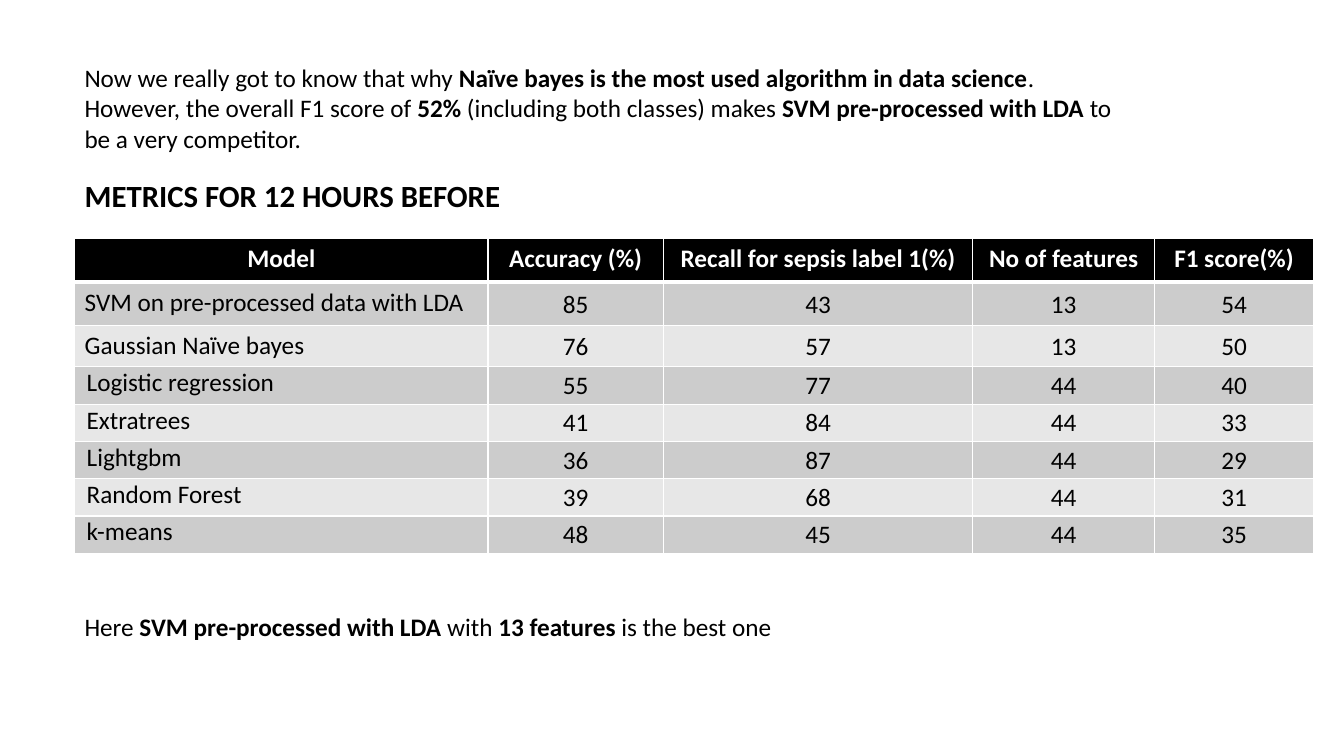
from dataclasses import dataclass

from lxml.etree import SubElement
from pptx import Presentation
from pptx.dml.color import RGBColor
from pptx.enum.text import MSO_ANCHOR, MSO_AUTO_SIZE, PP_ALIGN
from pptx.oxml.ns import qn
from pptx.slide import Slide
from pptx.table import _Cell
from pptx.text.text import TextFrame, _Run
from pptx.util import Inches, Pt


@dataclass(frozen=True)
class Theme:
    font: str = "Calibri"
    body_size: int = 18
    heading_size: int = 22
    ink: str = "000000"
    paper: str = "FFFFFF"
    bands: tuple[str, str] = ("CCCCCC", "E7E7E7")
    rule: float = 1
    header_rule: float = 3


@dataclass(frozen=True)
class Phrase:
    text: str
    bold: bool = False


@dataclass(frozen=True)
class Remark:
    top: float
    height: float
    phrases: tuple[Phrase, ...]


@dataclass(frozen=True)
class Column:
    heading: str
    width: float


@dataclass(frozen=True)
class Score:
    model: str
    accuracy: int
    recall: int
    features: int
    f1: int
    height: float = 0.37
    compact: bool = True

    def figures(self) -> tuple[int, ...]:
        return self.accuracy, self.recall, self.features, self.f1


THEME = Theme()
LEFT = 0.74
REMARK_WIDTH = 10.6
HEADER_HEIGHT = 0.43

REMARKS = (
    Remark(0.57, 1.01, (
        Phrase("Now we really got to know that why "),
        Phrase("Naïve bayes is the most used algorithm in data science", True),
        Phrase(". However, the overall F1 score of "),
        Phrase("52%", True),
        Phrase(" (including both classes) makes "),
        Phrase("SVM pre-processed with LDA ", True),
        Phrase("to be a very competitor."),
    )),
    Remark(6.02, 0.4, (
        Phrase("Here "),
        Phrase("SVM pre-processed with LDA ", True),
        Phrase("with"),
        Phrase(" 13 features ", True),
        Phrase("is the best one"),
    )),
)

COLUMNS = (
    Column("Model", 4.1),
    Column("Accuracy (%)", 1.74),
    Column("Recall for sepsis label 1(%)", 3.07),
    Column("No of features", 1.8),
    Column("F1 score(%)", 1.58),
)

SCORES = (
    Score("SVM on pre-processed data with LDA", 85, 43, 13, 54, 0.43, False),
    Score("Gaussian Naïve bayes", 76, 57, 13, 50, 0.41, False),
    Score("Logistic regression", 55, 77, 44, 40),
    Score("Extratrees", 41, 84, 44, 33),
    Score("Lightgbm", 36, 87, 44, 29),
    Score("Random Forest", 39, 68, 44, 31),
    Score("k-means", 48, 45, 44, 35),
)


def style_run(run: _Run, size: float, color: str, bold: bool) -> None:
    run.font.name = THEME.font
    run.font.size = Pt(size)
    run.font.bold = bold
    run.font.color.rgb = RGBColor.from_string(color)


def add_heading(slide: Slide, text: str) -> None:
    heading = slide.shapes.title
    heading.left, heading.top = Inches(LEFT), Inches(1.7)
    heading.width, heading.height = Inches(5.65), Inches(0.47)
    frame: TextFrame = heading.text_frame
    frame.text = text
    frame.auto_size = MSO_AUTO_SIZE.NONE
    frame.vertical_anchor = MSO_ANCHOR.TOP
    paragraph = frame.paragraphs[0]
    paragraph.alignment = PP_ALIGN.LEFT
    style_run(paragraph.runs[0], THEME.heading_size, THEME.ink, True)


def add_remark(slide: Slide, remark: Remark) -> None:
    box = slide.shapes.add_textbox(Inches(LEFT), Inches(remark.top),
                                   Inches(REMARK_WIDTH), Inches(remark.height))
    box.text_frame.word_wrap = True
    paragraph = box.text_frame.paragraphs[0]
    for phrase in remark.phrases:
        run = paragraph.add_run()
        run.text = phrase.text
        style_run(run, THEME.body_size, THEME.ink, phrase.bold)


def set_borders(cell: _Cell, top: float, bottom: float) -> None:
    properties = cell._tc.get_or_add_tcPr()
    edges = {"a:lnL": THEME.rule, "a:lnR": THEME.rule, "a:lnT": top, "a:lnB": bottom}
    for tag, width in edges.items():
        line = SubElement(properties, qn(tag), w=str(Pt(width)))
        fill = SubElement(line, qn("a:solidFill"))
        SubElement(fill, qn("a:srgbClr"), val=THEME.paper)


def fill_cell(cell: _Cell, text: str, fill: str, color: str, bold: bool,
              alignment: PP_ALIGN) -> None:
    cell.fill.solid()
    cell.fill.fore_color.rgb = RGBColor.from_string(fill)
    cell.text_frame.text = text
    paragraph = cell.text_frame.paragraphs[0]
    paragraph.alignment = alignment
    style_run(paragraph.runs[0], THEME.body_size, color, bold)


def tighten(cell: _Cell, left: float) -> None:
    cell.margin_left = Inches(left)
    cell.margin_right = cell.margin_top = Inches(0.01)
    cell.margin_bottom = 0


def add_metrics(slide: Slide) -> None:
    heights = [HEADER_HEIGHT, *(score.height for score in SCORES)]
    metrics = slide.shapes.add_table(
        len(heights), len(COLUMNS), Inches(LEFT), Inches(2.37),
        Inches(sum(column.width for column in COLUMNS)), Inches(sum(heights))).table
    metrics.horz_banding = False
    for row, height in zip(metrics.rows, heights):
        row.height = Inches(height)

    for index, column in enumerate(COLUMNS):
        metrics.columns[index].width = Inches(column.width)
        cell = metrics.cell(0, index)
        set_borders(cell, THEME.rule, THEME.header_rule)
        fill_cell(cell, column.heading, THEME.ink, THEME.paper, True, PP_ALIGN.CENTER)

    for row, score in enumerate(SCORES, start=1):
        band = THEME.bands[(row - 1) % 2]
        top = THEME.header_rule if row == 1 else THEME.rule
        for index, entry in enumerate((score.model, *score.figures())):
            cell = metrics.cell(row, index)
            set_borders(cell, top, THEME.rule)
            alignment = PP_ALIGN.CENTER if index else PP_ALIGN.LEFT
            fill_cell(cell, str(entry), band, THEME.ink, False, alignment)
            if index:
                tighten(cell, 0.01)
                cell.vertical_anchor = MSO_ANCHOR.MIDDLE
            elif score.compact:
                tighten(cell, 0.12)


def main() -> None:
    deck = Presentation()
    deck.slide_width, deck.slide_height = Inches(13.33), Inches(7.5)
    slide = deck.slides.add_slide(deck.slide_layouts[5])
    add_heading(slide, "METRICS FOR 12 HOURS BEFORE")
    add_metrics(slide)
    for remark in REMARKS:
        add_remark(slide, remark)
    deck.save("out.pptx")


if __name__ == "__main__":
    main()
